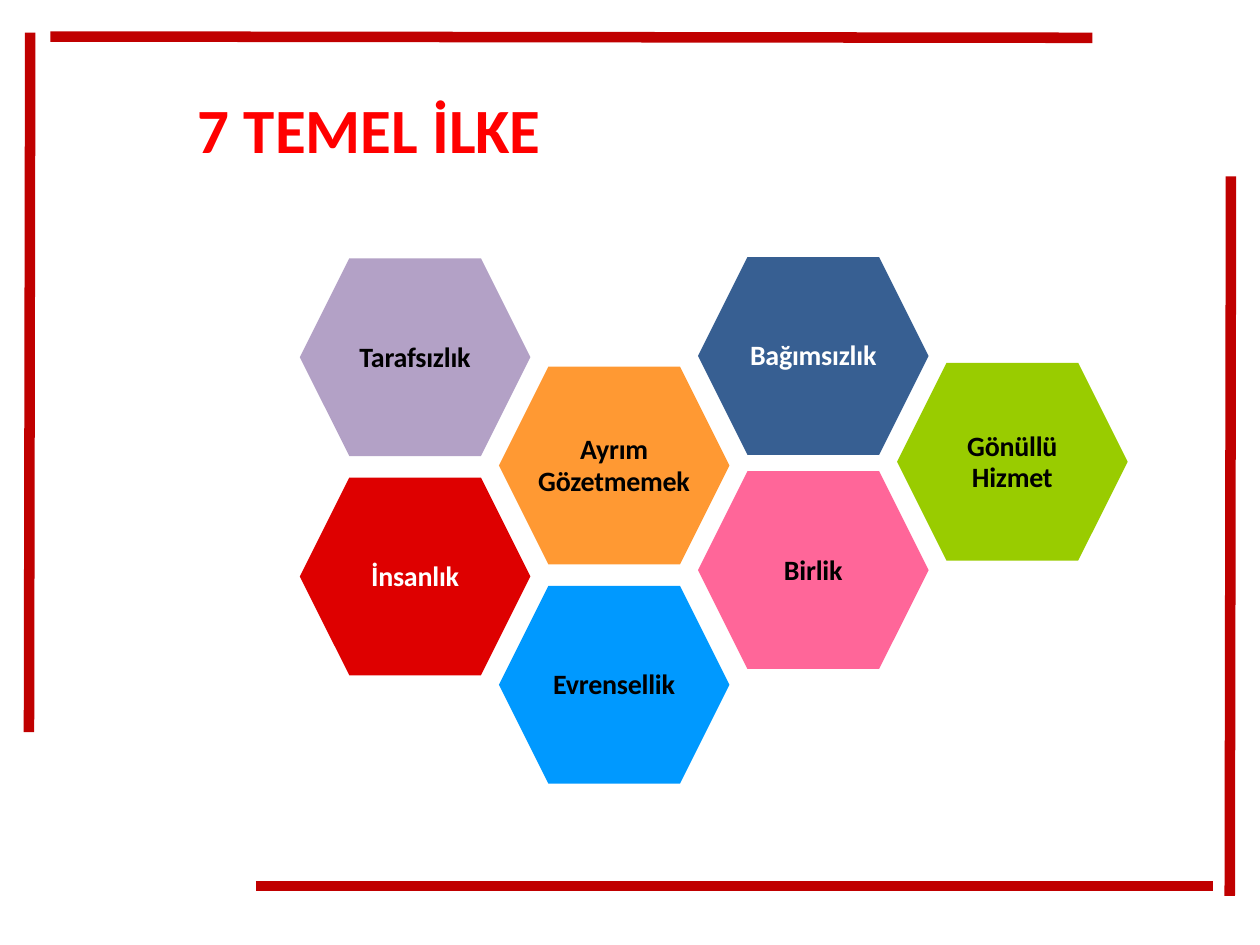
from dataclasses import dataclass

from lxml.etree import SubElement
from pptx import Presentation
from pptx.dml.color import RGBColor
from pptx.enum.shapes import MSO_CONNECTOR, MSO_SHAPE
from pptx.enum.text import MSO_ANCHOR, PP_ALIGN
from pptx.oxml.ns import qn
from pptx.slide import Slide
from pptx.text.text import _Paragraph
from pptx.util import Inches, Pt

FONT = "Calibri"
COLORS = {
    "frame": "C00000", "title": "FF0000", "black": "000000", "white": "FFFFFF",
    "red": "DE0000", "orange": "FF9933", "lilac": "B3A1C6", "navy": "375F92",
    "green": "99CC00", "pink": "FF6699", "blue": "0099FF",
}
HEX_W, HEX_H = 1.83, 1.57
COL_X, COL_STEP = 2.38, 1.58


@dataclass
class Principle:
    lines: tuple[str, ...]
    col: int
    top: float
    fill: str
    ink: str = "black"


@dataclass
class Bar:
    x1: float
    y1: float
    x2: float
    y2: float


PRINCIPLES = [
    Principle(("İnsanlık",), 0, 3.79, "red", "white"),
    Principle(("Ayrım", "Gözetmemek"), 1, 2.91, "orange"),
    Principle(("Tarafsızlık",), 0, 2.05, "lilac"),
    Principle(("Bağımsızlık",), 2, 2.04, "navy", "white"),
    Principle(("Gönüllü", "Hizmet"), 3, 2.88, "green"),
    Principle(("Birlik",), 2, 3.74, "pink"),
    Principle(("Evrensellik",), 1, 4.65, "blue"),
]
BARS = [
    Bar(9.77, 1.4, 9.76, 7.11),
    Bar(0.4, 0.29, 8.67, 0.3),
    Bar(0.24, 0.26, 0.23, 5.81),
    Bar(2.03, 7.03, 9.63, 7.03),
]


def rgb(name: str) -> RGBColor:
    return RGBColor.from_string(COLORS[name])


def add_run(p: _Paragraph, text: str, size: float, color: str, spacing: int = 0) -> None:
    """Add a bold run; spacing is in hundredths of a point."""
    r = p.add_run()
    r.text = text
    r.font.name, r.font.size, r.font.bold = FONT, Pt(size), True
    r.font.color.rgb = rgb(color)
    if spacing:
        r.font._element.set("spc", str(spacing))


def add_bar(s: Slide, bar: Bar) -> None:
    line = s.shapes.add_connector(
        MSO_CONNECTOR.STRAIGHT,
        Inches(bar.x1), Inches(bar.y1), Inches(bar.x2), Inches(bar.y2))
    line.line.color.rgb = rgb("frame")
    line.line.width = Pt(6)
    SubElement(line._element.spPr, qn("a:effectLst"))


def add_hexagon(s: Slide, item: Principle) -> None:
    sp = s.shapes.add_shape(
        MSO_SHAPE.HEXAGON, Inches(COL_X + item.col * COL_STEP), Inches(item.top),
        Inches(HEX_W), Inches(HEX_H))
    sp.shadow.inherit = False
    sp.fill.solid()
    sp.fill.fore_color.rgb = rgb(item.fill)
    sp.line.fill.background()
    tf = sp.text_frame
    tf.word_wrap = False
    tf.vertical_anchor = MSO_ANCHOR.MIDDLE
    tf.margin_left = tf.margin_right = tf.margin_top = tf.margin_bottom = 0
    p = tf.paragraphs[0]
    p.alignment = PP_ALIGN.CENTER
    p.line_spacing = Pt(17.8)
    for i, text in enumerate(item.lines):
        if i:
            p.add_line_break()
        add_run(p, text, 16, item.ink, -10)


def add_title(s: Slide) -> None:
    box = s.shapes.add_textbox(Inches(0.71), Inches(0.54), Inches(6.39), Inches(1.16))
    tf = box.text_frame
    tf.word_wrap = True
    tf.margin_left, tf.margin_top = Inches(0.86), Inches(0.18)
    tf.margin_right = tf.margin_bottom = 0
    p = tf.paragraphs[0]
    add_run(p, "7 TEMEL ", 36, "title")
    add_run(p, "İLKE", 36, "title", -20)


def main() -> None:
    prs = Presentation()
    prs.slide_width, prs.slide_height = Inches(10), Inches(7.5)
    s = prs.slides.add_slide(prs.slide_layouts[6])

    # Heading
    add_title(s)
    # Frame
    for bar in BARS:
        add_bar(s, bar)
    # Honeycomb of principles
    for item in PRINCIPLES:
        add_hexagon(s, item)

    prs.save("out.pptx")


if __name__ == "__main__":
    main()
